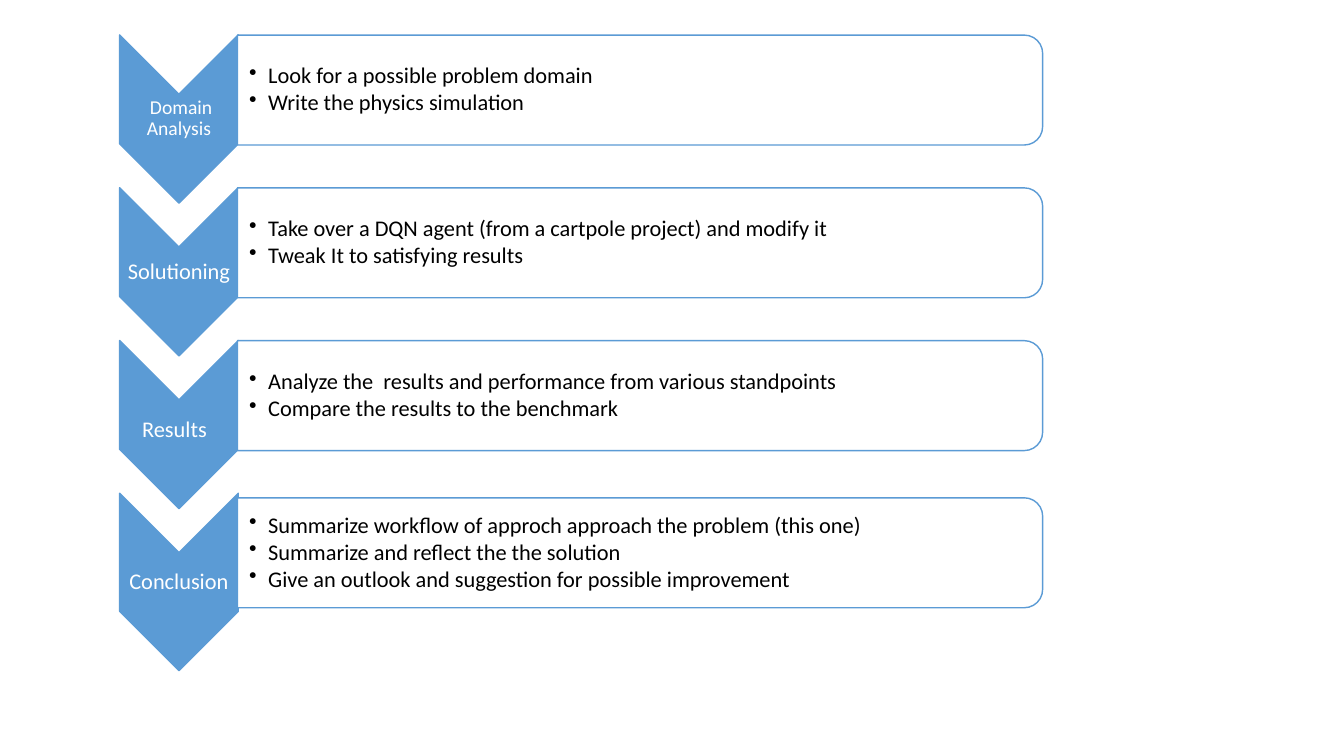
from lxml import etree
from pptx import Presentation
from pptx.dml.color import RGBColor
from pptx.enum.shapes import MSO_SHAPE
from pptx.enum.text import MSO_ANCHOR, PP_ALIGN
from pptx.oxml.ns import qn
from pptx.util import Cm, Pt

CHEVRON = MSO_SHAPE.CHEVRON
CARD = MSO_SHAPE.ROUND_2_SAME_RECTANGLE
MIDDLE = MSO_ANCHOR.MIDDLE
CENTER = PP_ALIGN.CENTER

COLORS = {"blue": "5B9BD5", "white": "FFFFFF", "black": "000000"}
BLANK_LAYOUT = 6
ROW_PITCH = 3.85
FIRST_CHEVRON_TOP = 0.88
FIRST_CARD_MIDDLE = 2.27
CHEVRON_CENTER = 4.51
CHEVRON_WIDTH = 2.99
CARD_CENTER = 16.13
CARD_LENGTH = 20.29
CARD_HEIGHT = 2.77
CARD_TEXT_LEFT = 5.98
CARD_TEXT_WIDTH = 20.17
CARD_TEXT_HEIGHT = 2.49

STEPS = [
    (" Domain Analysis", 14, 4.24, 0, [
        "Look for a possible problem domain",
        "Write the physics simulation",
    ]),
    ("Solutioning", 16, 4.24, 0, [
        "Take over a DQN agent (from a cartpole project) and modify it",
        "Tweak It to satisfying results",
    ]),
    ("Results", 16, 4.24, 0, [
        "Analyze the  results and performance from various standpoints",
        "Compare the results to the benchmark",
    ]),
    ("Conclusion", 16, 4.47, 0.11, [
        "Summarize workflow of approch approach the problem (this one)",
        "Summarize and reflect the the solution",
        "Give an outlook and suggestion for possible improvement",
    ]),
]


def add_turned_shape(slide, kind, center, middle, length, breadth, fill):
    shape = slide.shapes.add_shape(
        kind, Cm(center - length / 2), Cm(middle - breadth / 2), Cm(length), Cm(breadth))
    shape.rotation = 90
    shape.shadow.inherit = False
    shape.fill.solid()
    shape.fill.fore_color.rgb = RGBColor.from_string(COLORS[fill])
    shape.line.color.rgb = RGBColor.from_string(COLORS["blue"])
    shape.line.width = Pt(1)


def add_text(slide, left, middle, width, height, lines, size, color, left_inset):
    box = slide.shapes.add_textbox(Cm(left), Cm(middle - height / 2), Cm(width), Cm(height))
    frame = box.text_frame
    frame.word_wrap = True
    frame.vertical_anchor = MIDDLE
    frame.margin_left = Cm(left_inset)
    frame.margin_top = frame.margin_right = frame.margin_bottom = Cm(0.03)
    frame.text = "\n".join(lines)
    for paragraph in frame.paragraphs:
        paragraph.line_spacing = 0.9
        for run in paragraph.runs:
            run.font.name = "Calibri"
            run.font.size = Pt(size)
            run.font.color.rgb = RGBColor.from_string(COLORS[color])
    return frame


presentation = Presentation()
presentation.slide_width = Cm(33.87)
presentation.slide_height = Cm(19.05)
slide = presentation.slides.add_slide(presentation.slide_layouts[BLANK_LAYOUT])

for row, (label, label_size, chevron_length, card_shift, points) in enumerate(STEPS):
    chevron_middle = FIRST_CHEVRON_TOP + row * ROW_PITCH + chevron_length / 2
    card_middle = FIRST_CARD_MIDDLE + row * ROW_PITCH + card_shift

    add_turned_shape(slide, CHEVRON, CHEVRON_CENTER, chevron_middle,
                     chevron_length, CHEVRON_WIDTH, "blue")
    label_frame = add_text(slide, CHEVRON_CENTER - CHEVRON_WIDTH / 2, chevron_middle,
                           CHEVRON_WIDTH, chevron_length - CHEVRON_WIDTH,
                           [label], label_size, "white", 0.03)
    label_paragraph = label_frame.paragraphs[0]
    label_paragraph.alignment = CENTER
    if label == "Results":
        space = label_paragraph.add_run()
        space.text = " "
        space.font.name = "Calibri"
        space.font.size = Pt(28)

    add_turned_shape(slide, CARD, CARD_CENTER, card_middle,
                     CARD_HEIGHT, CARD_LENGTH, "white")
    card_frame = add_text(slide, CARD_TEXT_LEFT, card_middle, CARD_TEXT_WIDTH,
                          CARD_TEXT_HEIGHT, points, 16, "black", 0.3)
    for paragraph in card_frame.paragraphs:
        paragraph.space_after = Pt(2)
        properties = paragraph._p.get_or_add_pPr()
        properties.set("marL", str(Cm(0.48)))
        properties.set("indent", str(-Cm(0.48)))
        etree.SubElement(properties, qn("a:buChar")).set("char", "•")

presentation.save("out.pptx")
